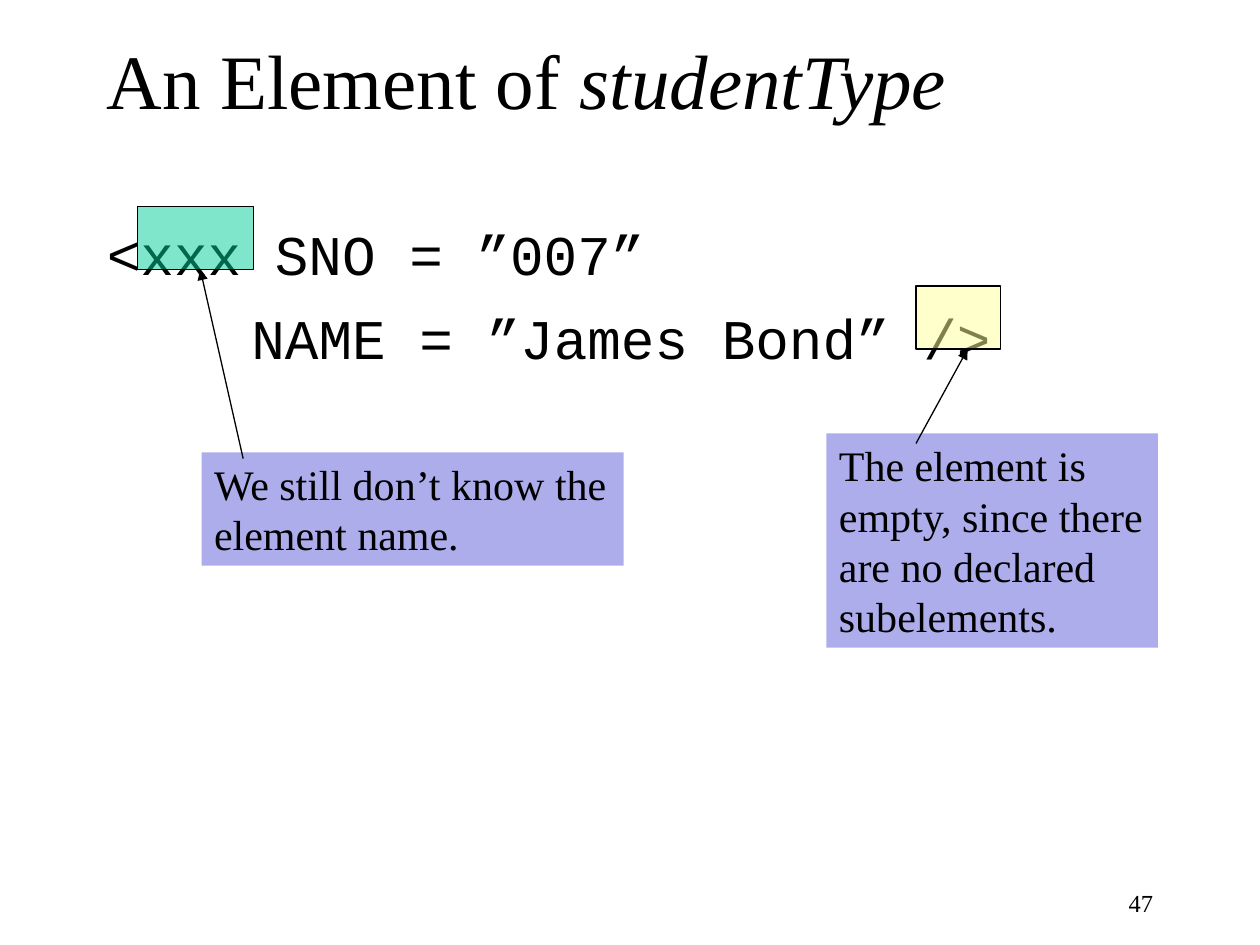
import pptx
import pptx.dml.color
import pptx.enum.shapes
import pptx.enum.text
import pptx.oxml
import pptx.oxml.ns
import pptx.util
from pptx.util import Inches

COLORS = {"text": "000000", "callout": "ADADEB", "name": "00CC99", "empty": "FFFF99"}
SERIF, MONO = "Times New Roman", "Courier New"
ANCHOR, ALIGN = pptx.enum.text.MSO_ANCHOR, pptx.enum.text.PP_ALIGN

# Each line of text is a list of (words, italic) runs.
TITLE = [[("An Element of ", False), ("studentType", True)]]
CODE = [[("<xxx SNO = ”007”", False)], [("\t\t NAME = ”James Bond” />", False)]]
PAGE_NUMBER = [[("47", False)]]

# Boxes are left, top, width, height; arrows are start x, y, end x, y.
NOTES = [
    {"lines": ["We still don’t know the", "element name."],
     "callout": (1.6, 3.59, 3.35, 0.9), "highlight": (1.09, 1.64, 0.92, 0.5),
     "color": "name", "arrow": (1.93, 3.64, 1.59, 2.14)},
    {"lines": ["The element is", "empty, since there", "are no declared", "subelements."],
     "callout": (6.56, 3.44, 2.63, 1.7), "highlight": (7.27, 2.27, 0.67, 0.5),
     "color": "empty", "arrow": (7.27, 3.52, 7.68, 2.77)},
]


def rgb(name):
    return pptx.dml.color.RGBColor.from_string(COLORS[name])


def add_xml(parent, xml):
    parent.append(pptx.oxml.parse_xml(xml.replace(">", f" {pptx.oxml.ns.nsdecls('a')}>", 1)))


def write(shape, lines, size, font=SERIF, align=ALIGN.LEFT, **frame_format):
    frame = shape.text_frame
    settings = {"word_wrap": True, "vertical_anchor": ANCHOR.TOP, **frame_format}
    for attribute, value in settings.items():
        setattr(frame, attribute, value)
    for index, line in enumerate(lines):
        paragraph = frame.paragraphs[0] if index == 0 else frame.add_paragraph()
        paragraph.alignment = align
        for words, italic in line:
            run = paragraph.add_run()
            run.text = words
            run.font.color.rgb = rgb("text")
            for attribute, value in {"name": font, "size": pptx.util.Pt(size),
                                     "italic": italic}.items():
                setattr(run.font, attribute, value)


def add_text(slide, box, lines, size, **settings):
    shape = slide.shapes.add_textbox(*map(Inches, box))
    write(shape, lines, size, **settings)
    return shape


def add_rectangle(slide, box, color):
    shape = slide.shapes.add_shape(
        pptx.enum.shapes.MSO_SHAPE.RECTANGLE, *map(Inches, box))
    shape.shadow.inherit = False
    shape.fill.solid()
    shape.fill.fore_color.rgb = rgb(color)
    return shape


def set_outline(shape):
    shape.line.color.rgb = rgb("text")
    shape.line.width = pptx.util.Pt(0.75)


def add_code(slide):
    code = add_text(slide, (0.75, 1.58, 8.5, 5.08), CODE, 32, font=MONO,
                    margin_top=Inches(0.16))
    for paragraph in code.text_frame.paragraphs:
        properties = paragraph._p.get_or_add_pPr()
        properties.set("marL", str(Inches(0.38)))
        properties.set("indent", str(Inches(-0.38)))
    stops = "".join(f'<a:tab pos="{Inches(inch)}" algn="l"/>' for inch in range(8))
    add_xml(properties, f"<a:tabLst>{stops}</a:tabLst>")
    paragraph.space_before = pptx.util.Pt(10)


def add_note(slide, note):
    callout = add_rectangle(slide, note["callout"], "callout")
    callout.line.fill.background()
    write(callout, [[(line, False)] for line in note["lines"]], 24, word_wrap=False)

    highlight = add_rectangle(slide, note["highlight"], note["color"])
    set_outline(highlight)
    fill_color = highlight.fill._xPr.find(".//" + pptx.oxml.ns.qn("a:srgbClr"))
    add_xml(fill_color, '<a:alpha val="50000"></a:alpha>')

    arrow = slide.shapes.add_connector(
        pptx.enum.shapes.MSO_CONNECTOR.STRAIGHT, *map(Inches, note["arrow"]))
    set_outline(arrow)
    add_xml(arrow.line._get_or_add_ln(), '<a:tailEnd type="triangle"></a:tailEnd>')
    add_xml(arrow._element.spPr, "<a:effectLst></a:effectLst>")


def main():
    deck = pptx.Presentation()
    deck.slide_width, deck.slide_height = Inches(10), Inches(7.5)
    slide = deck.slides.add_slide(deck.slide_layouts[6])
    add_text(slide, (0.75, 0, 8.5, 1.25), TITLE, 44, vertical_anchor=ANCHOR.MIDDLE)
    add_code(slide)
    add_text(slide, (7.17, 7, 2.08, 0.33), PAGE_NUMBER, 14, align=ALIGN.RIGHT)
    for note in NOTES:
        add_note(slide, note)
    deck.save("out.pptx")


if __name__ == "__main__":
    main()
